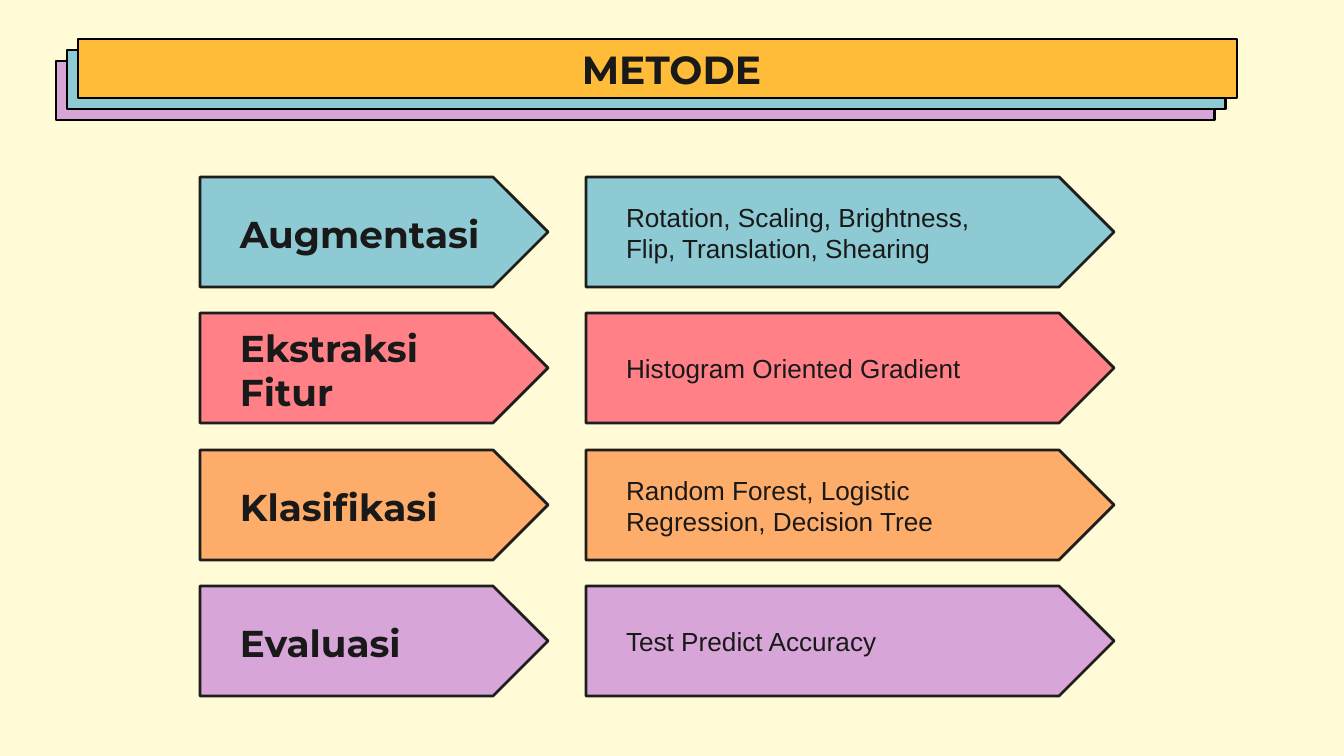
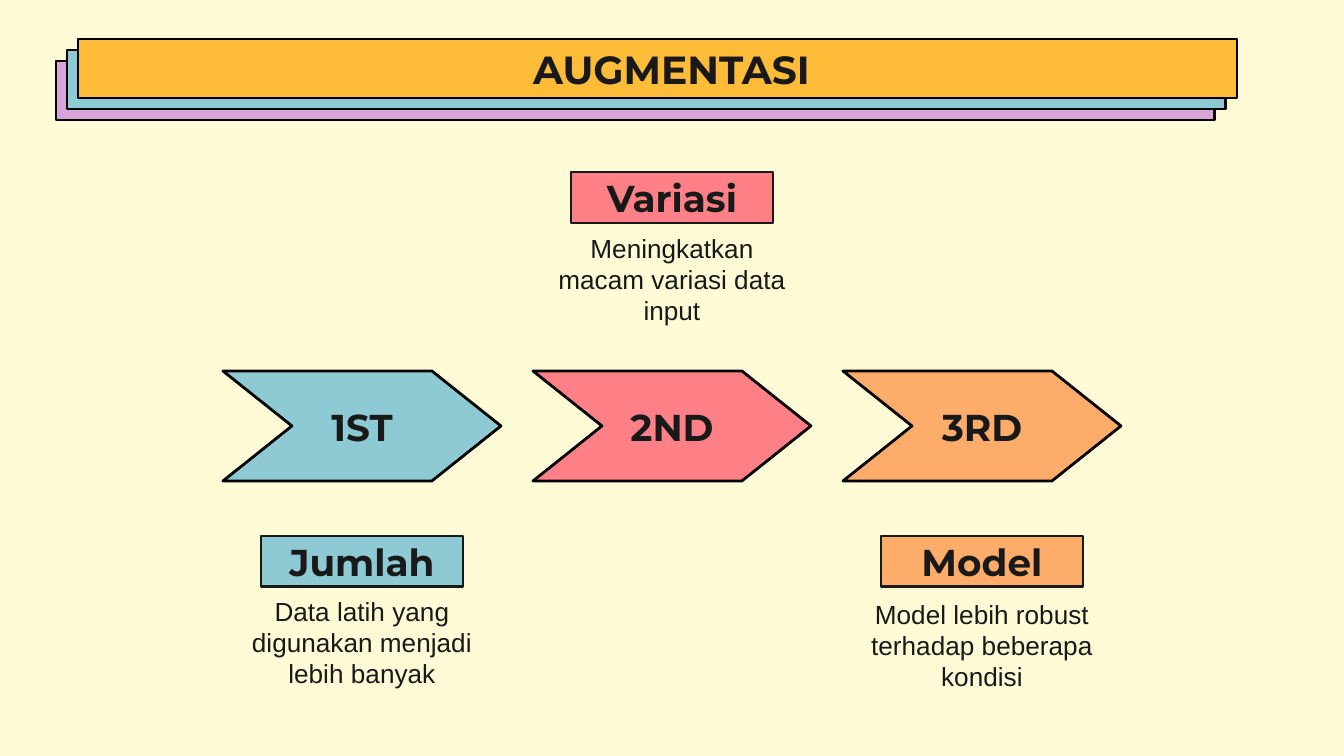
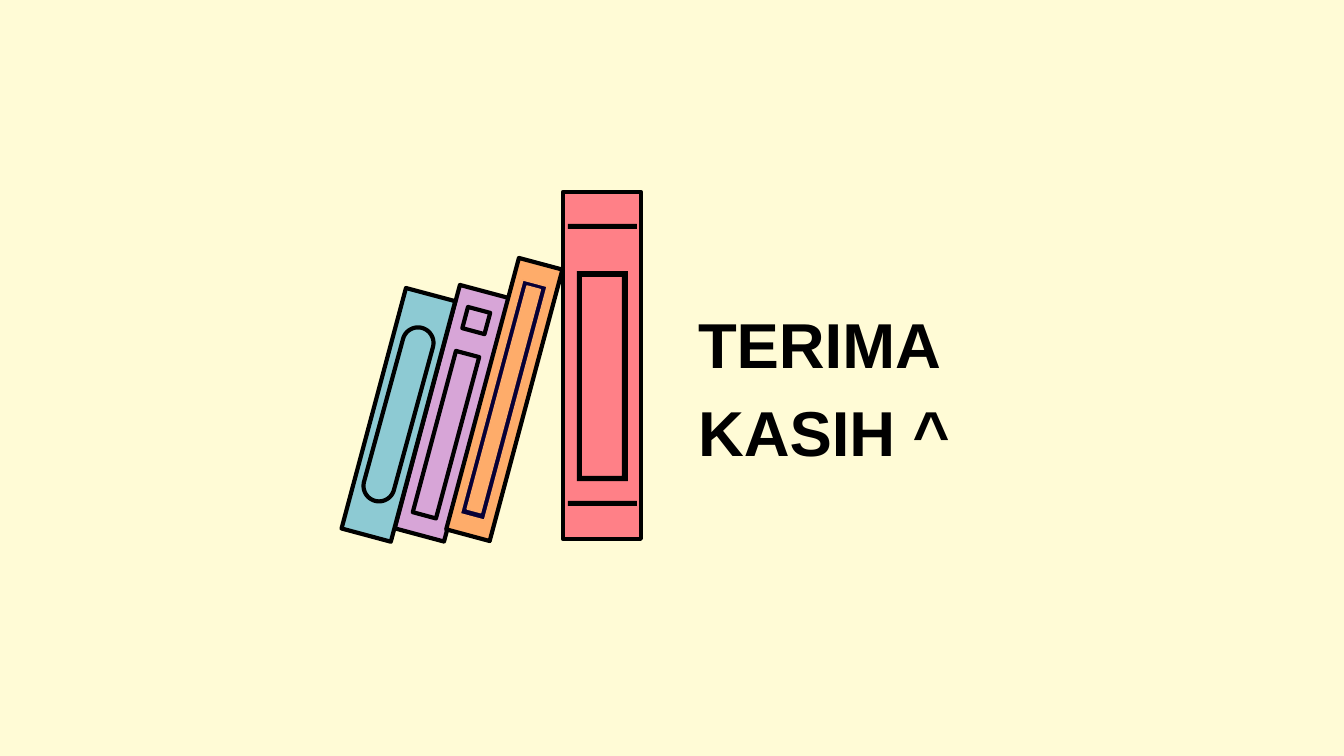
from dataclasses import dataclass
from math import cos, pi, radians, sin

from pptx import Presentation
from pptx.dml.color import RGBColor
from pptx.enum.shapes import MSO_SHAPE
from pptx.enum.text import MSO_ANCHOR, MSO_AUTO_SIZE, PP_ALIGN
from pptx.util import Pt

RECTANGLE = MSO_SHAPE.RECTANGLE
PENTAGON = MSO_SHAPE.PENTAGON
TOP, MIDDLE = MSO_ANCHOR.TOP, MSO_ANCHOR.MIDDLE
LEFT, CENTER, JUSTIFY = PP_ALIGN.LEFT, PP_ALIGN.CENTER, PP_ALIGN.JUSTIFY
NO_FIT, GROW = MSO_AUTO_SIZE.NONE, MSO_AUTO_SIZE.SHAPE_TO_FIT_TEXT
SCALE = 914400 / 134.4
TILT = radians(15)


@dataclass(frozen=True)
class TextStyle:
    font: str
    size: int
    bold: bool
    color: str


@dataclass(frozen=True)
class Theme:
    background: str = "FFFBD6"
    blue: str = "8DCAD3"
    red: str = "FF8087"
    orange: str = "FEAC6A"
    purple: str = "D7A5D7"
    yellow: str = "FFBC38"
    black: str = "000000"
    ink: str = "191919"
    outline: str = "1D1D1B"
    navy: str = "070036"
    title: TextStyle = TextStyle("Montserrat", 21, True, "191919")
    label: TextStyle = TextStyle("Montserrat", 20, True, "191919")
    body: TextStyle = TextStyle("Arial", 14, False, "191919")
    closing: TextStyle = TextStyle("Arial", 34, True, "000000")


def px(length):
    return round(length * SCALE)


def box_corners(left, top, width, length, tilt=0.0):
    across = (width * cos(tilt), width * sin(tilt))
    down = (-length * sin(tilt), length * cos(tilt))
    return [
        (left, top),
        (left + down[0], top + down[1]),
        (left + down[0] + across[0], top + down[1] + across[1]),
        (left + across[0], top + across[1]),
    ]


def capsule(upper, lower, radius, tilt, steps=24):
    points = []
    for (x, y), start in ((upper, tilt + pi), (lower, tilt)):
        for step in range(steps + 1):
            angle = start + pi * step / steps
            points.append((x + radius * cos(angle), y + radius * sin(angle)))
    return points


class Deck:
    def __init__(self, theme):
        self.theme = theme
        self.presentation = Presentation()
        self.presentation.slide_width = px(1344)
        self.presentation.slide_height = px(756)
        fill = self.presentation.slide_master.background.fill
        fill.solid()
        fill.fore_color.rgb = RGBColor.from_string(theme.background)
        self.slide = None

    def add_slide(self):
        layout = self.presentation.slide_layouts.get_by_name("Title Only")
        self.slide = self.presentation.slides.add_slide(layout)

    def set_text(self, shape, text, style, align=LEFT, anchor=MIDDLE, fit=NO_FIT):
        frame = shape.text_frame
        frame.text = text
        frame.word_wrap = True
        frame.auto_size = fit
        frame.vertical_anchor = anchor
        frame.margin_left = frame.margin_right = px(13)
        frame.margin_top = frame.margin_bottom = px(13)
        paragraph = frame.paragraphs[0]
        paragraph.alignment = align
        paragraph.font.name = style.font
        paragraph.font.size = Pt(style.size)
        paragraph.font.bold = style.bold
        paragraph.font.color.rgb = RGBColor.from_string(style.color)
        return paragraph

    def title(self, text, left, top, width, height, style, **options):
        shape = self.slide.shapes.title
        shape.left, shape.top = px(left), px(top)
        shape.width, shape.height = px(width), px(height)
        return self.set_text(shape, text, style, **options)

    def banner(self, text):
        theme = self.theme
        for offset, color in ((22, theme.purple), (11, theme.blue), (0, theme.yellow)):
            self.shape(RECTANGLE, 78 - offset, 39 + offset, 1159, 59, color)
        self.title(text, 78, 39, 1187, 59, theme.title, align=CENTER)
        title = self.slide.shapes.title.element
        title.getparent().append(title)

    def text(self, text, left, top, width, height, style, **options):
        shape = self.slide.shapes.add_textbox(px(left), px(top), px(width), px(height))
        self.set_text(shape, text, style, **options)

    def paint(self, shape, fill, line, weight):
        shape.shadow.inherit = False
        shape.fill.solid()
        shape.fill.fore_color.rgb = RGBColor.from_string(fill)
        if line is None:
            shape.line.fill.background()
        else:
            shape.line.color.rgb = RGBColor.from_string(line)
            shape.line.width = Pt(weight)
        return shape

    def shape(self, kind, left, top, width, height, fill, line="000000", weight=1.5):
        shape = self.slide.shapes.add_shape(kind, px(left), px(top), px(width), px(height))
        return self.paint(shape, fill, line, weight)

    def polygon(self, outlines, fill, line="000000", weight=2.25):
        builder = None
        for outline in outlines:
            start, *rest = [(px(x), px(y)) for x, y in outline]
            if builder is None:
                builder = self.slide.shapes.build_freeform(*start)
            else:
                builder.move_to(*start)
            builder.add_line_segments(rest, close=True)
        return self.paint(builder.convert_to_shape(), fill, line, weight)


def method_slide(deck):
    theme = deck.theme
    deck.add_slide()
    deck.banner("METODE")
    stages = [
        ("Augmentasi", "Rotation, Scaling, Brightness, Flip, Translation, Shearing", theme.blue),
        ("Ekstraksi Fitur", "Histogram Oriented Gradient", theme.red),
        ("Klasifikasi", "Random Forest, Logistic Regression, Decision Tree", theme.orange),
        ("Evaluasi", "Test Predict Accuracy", theme.purple),
    ]
    for index, (name, detail, color) in enumerate(stages):
        top = 177 + round(136.4 * index)
        for left, width in ((200, 348), (586, 528)):
            deck.shape(PENTAGON, left, top, width, 110, color, theme.outline)
        deck.text(name, 227, top + 37, 280, 39, theme.label)
        deck.text(detail, 613, top + 26, 419, 59, theme.body)


def augmentation_slide(deck):
    theme = deck.theme
    deck.add_slide()
    deck.banner("AUGMENTASI")
    top, width, height, notch = 371, 278, 110, 69
    middle, bottom = top + height / 2, top + height
    goals = [
        ("1ST", "Jumlah", "Data latih yang digunakan menjadi lebih banyak", theme.blue, 536, 582),
        ("2ND", "Variasi", "Meningkatkan macam variasi data input", theme.red, 172, 219),
        ("3RD", "Model", "Model lebih robust terhadap beberapa kondisi", theme.orange, 536, 585),
    ]
    for index, (order, name, detail, color, label_top, detail_top) in enumerate(goals):
        left = 223 + 310 * index
        right = left + width
        chevron = [
            (left, top), (left + notch, middle), (left, bottom),
            (right - notch, bottom), (right, middle), (right - notch, top),
        ]
        deck.polygon([chevron], color, weight=1.5)
        deck.text(order, left + 34, 406, 210, 42, theme.label, align=CENTER)
        label = deck.shape(RECTANGLE, left + 38, label_top, 202, 51, color, theme.ink)
        deck.set_text(label, name, theme.label, align=CENTER)
        deck.text(detail, left + 12, detail_top, 254, 125, theme.body, align=CENTER, anchor=TOP)


def closing_slide(deck):
    theme = deck.theme
    deck.add_slide()
    paragraph = deck.title("TERIMA KASIH ^", 685, 281, 319, 192, theme.closing,
                           align=JUSTIFY, anchor=TOP, fit=GROW)
    paragraph.line_spacing = 1.15
    paragraph.space_after = Pt(6)

    leaning_boxes = [
        (460, 285, 51, 252, theme.purple),
        (456, 351, 24, 167, theme.purple),
        (468, 307, 23, 22, theme.purple),
        (406, 288, 51, 249, theme.blue),
        (519, 258, 45, 281, theme.orange),
    ]
    for *box, color in leaning_boxes:
        deck.polygon([box_corners(*box, TILT)], color)
    deck.polygon([capsule((418, 343), (379, 486), 15.5, TILT)], theme.blue)

    deck.shape(RECTANGLE, 563, 192, 78, 347, theme.red, weight=2.25)
    for top in (224, 501):
        deck.shape(RECTANGLE, 568, top, 69, 5, theme.black, line=None)
    frames = [
        ((577, 271, 51, 210), (582, 277, 40, 199), 0, theme.black, None),
        ((523, 280, 25, 242), (527, 286, 14, 231), TILT, theme.navy, theme.orange),
    ]
    for outer, inner, tilt, color, line in frames:
        outlines = [box_corners(*inner, tilt)[::-1], box_corners(*outer, tilt)]
        deck.polygon(outlines, color, line, 0.75)


def main():
    deck = Deck(Theme())
    method_slide(deck)
    augmentation_slide(deck)
    closing_slide(deck)
    deck.presentation.save("out.pptx")


if __name__ == "__main__":
    main()
